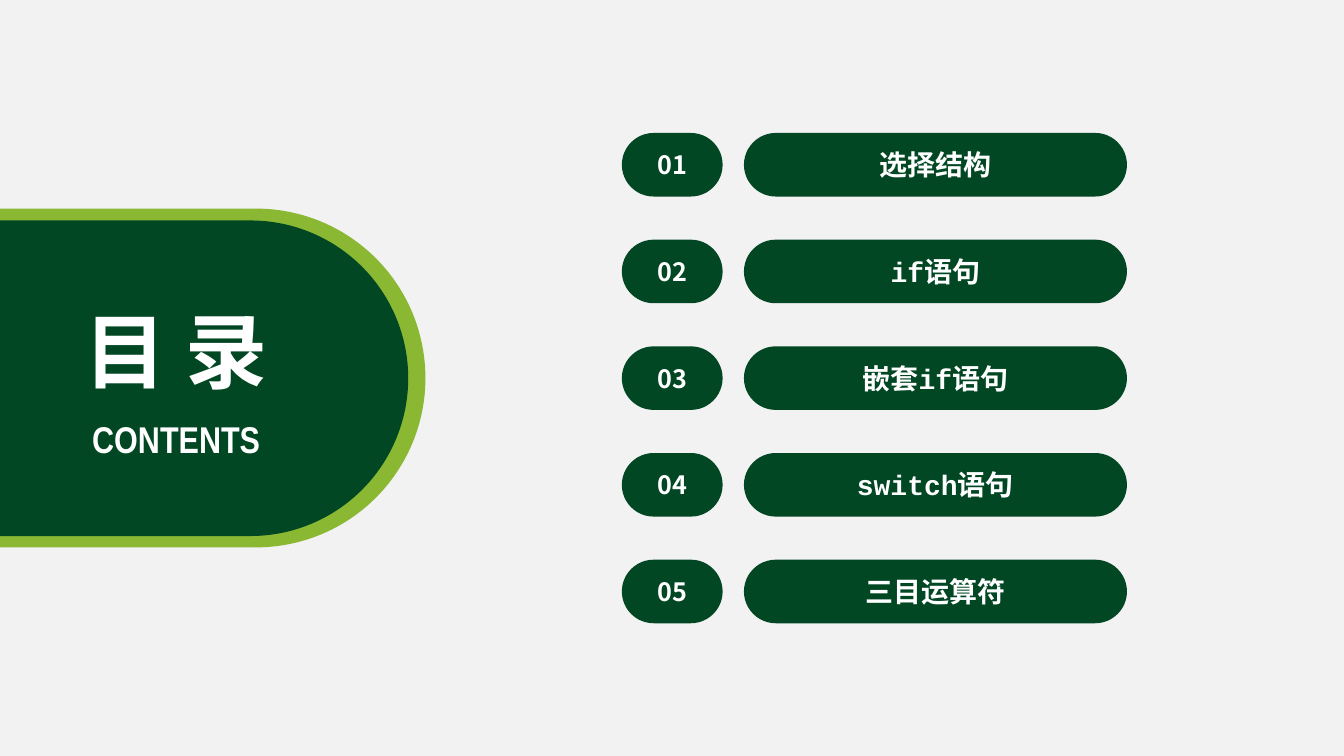
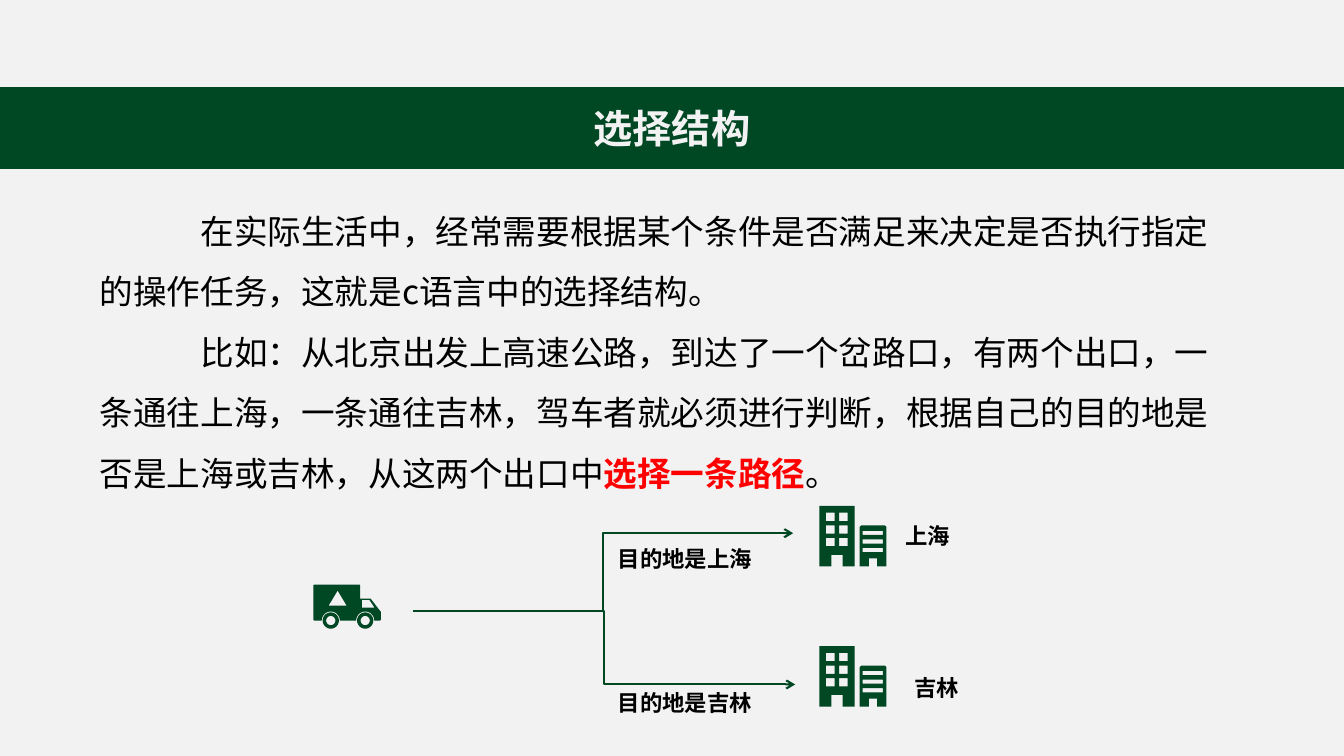
"""Build a contents slide and a slide on selection structures."""

import dataclasses
import math
import typing

import lxml.etree
import pptx
import pptx.dml.color
import pptx.enum.shapes
import pptx.enum.text
import pptx.oxml.ns
import pptx.shapes.autoshape
import pptx.slide
import pptx.text.text
import pptx.util

Pt = pptx.util.Pt
RGBColor = pptx.dml.color.RGBColor
Shape = pptx.enum.shapes.MSO_SHAPE
Align = pptx.enum.text.PP_ALIGN
Slide = pptx.slide.Slide

PAPER = RGBColor(0xF2, 0xF2, 0xF2)
WHITE = RGBColor(0xFF, 0xFF, 0xFF)
BLACK = RGBColor(0x00, 0x00, 0x00)
RED = RGBColor(0xFF, 0x00, 0x00)
LIME = RGBColor(0x8A, 0xB8, 0x33)
PINE = RGBColor(0x01, 0x47, 0x23)
GREEN = RGBColor(0x00, 0x47, 0x23)

SANS = "Noto Sans CJK SC"
CODE = "Courier New"
NARROW = "Arial Narrow"

WIDTH, HEIGHT = 960, 540


@dataclasses.dataclass(frozen=True)
class Box:
    left: float
    top: float
    width: float
    height: float


@dataclasses.dataclass(frozen=True)
class Run:
    text: str
    size: float
    color: RGBColor = WHITE
    font: str = SANS
    bold: bool = True


@dataclasses.dataclass(frozen=True)
class Route:
    end_x: float
    end_y: float
    icon_y: float
    label: Run
    label_y: float
    city: Run
    city_x: float
    city_y: float


Point = tuple[float, float]
Outline = list[Point]

TOPICS = [
    [Run("选择结构", 20)],
    [Run("if", 20, font=CODE), Run("语句", 20)],
    [Run("嵌套if", 20, font=CODE), Run("语句", 20)],
    [Run("switch语句", 20, font=CODE)],
    [Run("三目运算符", 20)],
]

STORY = [
    [
        Run("在实际生活中，经常需要根据某个条件是否满足来决定是否执行指定的操作任务，"
            "这就是c语言中的选择结构。", 24, BLACK, bold=False),
    ],
    [
        Run("比如：从北京出发上高速公路，到达了一个岔路口，有两个出口，一条通往上海，"
            "一条通往吉林，驾车者就必须进行判断，根据自己的目的地是否是上海或吉林，"
            "从这两个出口中", 24, BLACK, bold=False),
        Run("选择一条路径", 24, RED),
        Run("。", 24, BLACK, bold=False),
    ],
]

ROUTES = [
    Route(568, 488.9, 461.5, Run("目的地是吉林", 16, BLACK), 488.9,
          Run("吉林", 16, BLACK), 645.8, 478.1),
    Route(566.6, 380.9, 361.4, Run("目的地是上海", 16, BLACK), 385.9,
          Run("上海", 16, BLACK), 639.4, 369.4),
]


def add_runs(para: pptx.text.text._Paragraph, runs: list[Run]) -> None:
    for item in runs:
        run = para.add_run()
        run.text = item.text
        run.font.size = Pt(item.size)
        run.font.bold = item.bold
        run.font.color.rgb = item.color
        run.font.name = item.font
        east = lxml.etree.SubElement(run.font._element, pptx.oxml.ns.qn("a:ea"))
        east.set("typeface", SANS)


def add_block(slide: Slide, kind: Shape, box: Box, fill: RGBColor,
              runs: typing.Sequence[Run] = ()) -> pptx.shapes.autoshape.Shape:
    shape = slide.shapes.add_shape(
        kind, Pt(box.left), Pt(box.top), Pt(box.width), Pt(box.height))
    shape.shadow.inherit = False
    shape.fill.solid()
    shape.fill.fore_color.rgb = fill
    shape.line.fill.background()
    frame = shape.text_frame
    frame.vertical_anchor = pptx.enum.text.MSO_ANCHOR.MIDDLE
    frame.paragraphs[0].alignment = Align.CENTER
    add_runs(frame.paragraphs[0], list(runs))
    return shape


def add_pill(slide: Slide, box: Box, fill: RGBColor,
             runs: typing.Sequence[Run] = ()) -> None:
    pill = add_block(slide, Shape.ROUNDED_RECTANGLE, box, fill, runs)
    pill.adjustments[0] = 0.5


def add_label(slide: Slide, box: Box, runs: list[Run], align: Align = Align.LEFT,
              wrap: bool = True) -> None:
    label = slide.shapes.add_textbox(
        Pt(box.left), Pt(box.top), Pt(box.width), Pt(box.height))
    label.text_frame.word_wrap = wrap
    para = label.text_frame.paragraphs[0]
    para.alignment = align
    add_runs(para, runs)


def add_story(slide: Slide, box: Box) -> None:
    story = slide.shapes.add_textbox(
        Pt(box.left), Pt(box.top), Pt(box.width), Pt(box.height))
    frame = story.text_frame
    frame.word_wrap = True
    frame.margin_left = frame.margin_right = 0
    frame.margin_top = frame.margin_bottom = 0
    for index, runs in enumerate(STORY):
        para = frame.add_paragraph() if index else frame.paragraphs[0]
        para.line_spacing = 1.5
        para._p.get_or_add_pPr().set("indent", str(Pt(72)))
        add_runs(para, runs)


def add_arrow(slide: Slide, start: Point, end: Point) -> None:
    arrow = slide.shapes.add_connector(
        pptx.enum.shapes.MSO_CONNECTOR.ELBOW,
        Pt(start[0]), Pt(start[1]), Pt(end[0]), Pt(end[1]))
    arrow.line.color.rgb = GREEN
    arrow.line.width = Pt(1.5)
    qn = pptx.oxml.ns.qn
    head = lxml.etree.SubElement(arrow.line._get_or_add_ln(), qn("a:tailEnd"))
    head.set("type", "arrow")
    lxml.etree.SubElement(arrow._element.spPr, qn("a:effectLst"))


def add_icon(slide: Slide, left: float, top: float, parts: list[Outline]) -> None:
    maker = None
    for part in parts:
        first, *rest = [(Pt(left + x), Pt(top + y)) for x, y in part]
        if maker is None:
            maker = slide.shapes.build_freeform(*first, scale=1.0)
        else:
            maker.move_to(*first)
        maker.add_line_segments(rest, close=True)
    icon = maker.convert_to_shape()
    icon.shadow.inherit = False
    icon.fill.solid()
    icon.fill.fore_color.rgb = GREEN
    icon.line.fill.background()


def make_arc(x: float, y: float, radius: float, sweep: int) -> Outline:
    angles = [math.radians(turn) for turn in range(0, sweep + 1, 12)]
    return [(x + radius * math.cos(a), y - radius * math.sin(a)) for a in angles]


def make_pane(x: float, y: float, width: float, height: float) -> Outline:
    return [(x, y), (x + width, y), (x + width, y + height), (x, y + height)]


def make_truck() -> list[Outline]:
    axle, rear, front = 25.7, 12.4, 37
    body = [(0, 0.5), (0.5, 0), (32.9, 0), (33.4, 0.5), (33.4, 10), (40.8, 10),
            (48.2, 19.5), (48.2, 25.2), (47.7, axle)]
    body += make_arc(front, axle, 6.5, 180) + make_arc(rear, axle, 6.5, 180)
    body += [(0.5, axle), (0, 25.2)]
    sign = [(10.8, 15.1), (17.3, 4.3), (23.8, 15.1)]
    window = [(34.6, 10.9), (40, 10.9), (43.6, 16.4), (34.6, 16.4)]
    wheels = [make_arc(x, axle, radius, 348)
              for x in (rear, front) for radius in (5.8, 3.3)]
    return [body, sign, window, *wheels]


def make_towers() -> list[Outline]:
    tall = [(0, 0), (25.3, 0), (25.3, 43.2), (16.7, 43.2), (16.7, 34.9),
            (8.6, 34.9), (8.6, 43.2), (0, 43.2)]
    short = [(28.9, 15), (30.1, 13.9), (46.8, 13.9), (48, 15), (48, 43.2),
             (41.3, 43.2), (41.3, 37.5), (35.4, 37.5), (35.4, 43.2), (28.9, 43.2)]
    panes = [make_pane(x, 4.9 + 9 * row, 6.1, 5.9)
             for x in (4.8, 14.2) for row in range(3)]
    slats = [make_pane(31, 17.8 + 6.1 * row, 14.4, 3) for row in range(3)]
    return [tall, short, *panes, *slats]


def draw_index(slide: Slide) -> None:
    add_pill(slide, Box(-141.1, 149, 445, 242), LIME)
    add_pill(slide, Box(-122.4, 157.5, 414, 225.4), PINE)
    for index, topic in enumerate(TOPICS):
        top = 95 + 76.2 * index
        add_pill(slide, Box(444.2, top, 72, 45.4), PINE, [Run(f"{index + 1:02}", 18)])
        add_pill(slide, Box(531.4, top, 273.6, 45.4), PINE, topic)
    add_label(slide, Box(44.6, 293.8, 162.7, 39.6),
              [Run("CONTENTS", 26.6, font=NARROW)], Align.CENTER, False)
    add_label(slide, Box(50.4, 211, 150.5, 78.5),
              [Run("目 录", 58.6)], Align.CENTER, False)


def draw_choice(slide: Slide) -> None:
    band = add_block(slide, Shape.RECTANGLE, Box(0, 62.6, WIDTH, 58), GREEN,
                     [Run("选择结构", 28, PAPER)])
    band.line.color.rgb = GREEN
    band.line.width = Pt(1)
    add_story(slide, Box(71.3, 136.1, 808.6, 218.2))
    add_icon(slide, 223.9, 417.6, make_truck())
    for route in ROUTES:
        add_icon(slide, 585.2, route.icon_y, make_towers())
        add_arrow(slide, (295.2, 436.3), (route.end_x, route.end_y))
        add_label(slide, Box(434.2, route.label_y, 121.7, 26.6), [route.label])
        add_label(slide, Box(route.city_x, route.city_y, 121.7, 26.6), [route.city])


def main() -> None:
    deck = pptx.Presentation()
    deck.slide_width, deck.slide_height = Pt(WIDTH), Pt(HEIGHT)
    back = deck.slide_master.background.fill
    back.solid()
    back.fore_color.rgb = PAPER
    for draw in (draw_index, draw_choice):
        draw(deck.slides.add_slide(deck.slide_layouts[6]))
    deck.save("out.pptx")


if __name__ == "__main__":
    main()
